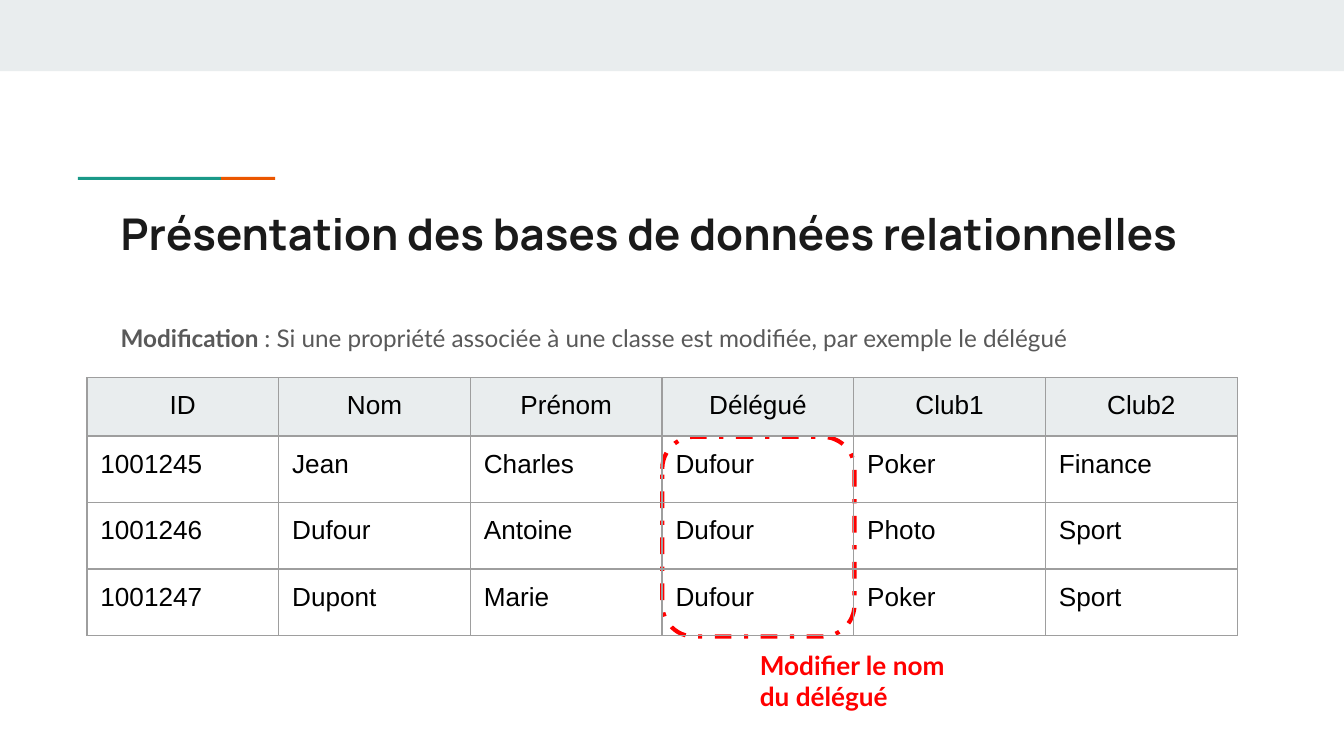
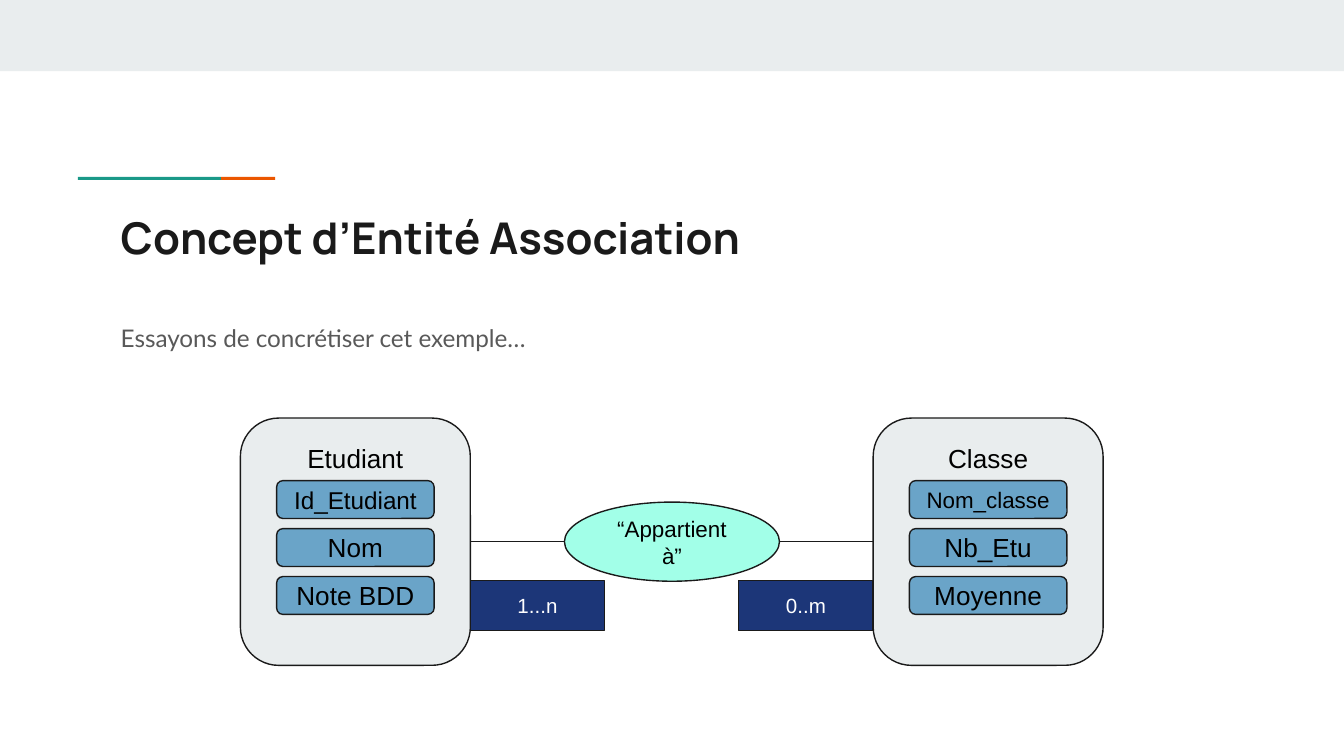
from lxml.etree import SubElement
from pptx import Presentation
from pptx.dml.color import RGBColor
from pptx.enum.dml import MSO_LINE
from pptx.enum.shapes import MSO_CONNECTOR, MSO_SHAPE as Shape
from pptx.enum.text import MSO_ANCHOR as Anchor, PP_ALIGN as Align
from pptx.oxml import parse_xml
from pptx.oxml.ns import nsdecls, qn
from pptx.util import Pt

PALE, INK, GREY, RED = "E9EDEE", "1A1A1A", "595959", "FF0000"
GREEN, ORANGE, BLUE, NAVY, MINT = "1A9988", "EB5600", "6AA4C8", "1C3678", "A2FFE8"
BLACK, WHITE, GRID = "000000", "FFFFFF", "9E9E9E"
INSET = Pt(7.2)


def rgb(value):
    return RGBColor.from_string(value)


def add_item(page, kind, frame, text="", font="Arial", size=14, color=BLACK,
             bold=False, fill=None, line=None, weight=0.75, anchor=Anchor.MIDDLE):
    """Add a preset shape, or a plain text box when kind is None."""
    left, top, width, height = (Pt(value) for value in frame)
    if kind is None:
        box = page.shapes.add_textbox(left, top, width, height)
        anchor = Anchor.TOP
    else:
        box = page.shapes.add_shape(kind, left, top, width, height)
        box.shadow.inherit = False
        if fill:
            box.fill.solid()
            box.fill.fore_color.rgb = rgb(fill)
        else:
            box.fill.background()
        if line:
            box.line.color.rgb = rgb(line)
            box.line.width = Pt(weight)
        else:
            box.line.fill.background()
    if text:
        frame = box.text_frame
        frame.word_wrap = True
        frame.vertical_anchor = anchor
        frame.margin_left = frame.margin_right = INSET
        frame.margin_top = frame.margin_bottom = INSET
        frame.text = text
        para = frame.paragraphs[0]
        para.alignment = Align.LEFT if kind is None else Align.CENTER
        span = para.runs[0]
        span.font.name, span.font.size, span.font.bold = font, Pt(size), bold
        span.font.color.rgb = rgb(color)
    return box


deck = Presentation()
deck.slide_width, deck.slide_height = Pt(720), Pt(405)

# Shared band, accent, title and introduction: title, title top, lead, introduction
contents = [
    ("Présentation des bases de données relationnelles", 103.7, "Modification ",
     ": Si une propriété associée à une classe est modifiée, par exemple le délégué"),
    ("Concept d’Entité Association", 106, "", "Essayons de concrétiser cet exemple…"),
]
pages = []
for title, title_top, lead, intro in contents:
    page = deck.slides.add_slide(deck.slide_layouts[6])
    add_item(page, Shape.RECTANGLE, (0, 0, 720, 38.2), fill=PALE)
    add_item(page, Shape.RECTANGLE, (41.8, 94.8, 76.6, 1.6), fill=GREEN)
    add_item(page, Shape.RECTANGLE, (118.4, 94.8, 29, 1.6), fill=ORANGE)
    add_item(page, None, (57.6, title_top, 605.5, 42.5), title, "Manrope", 23.4, INK, True)
    box = add_item(page, None, (57.6, 163.4, 605.5, 38), lead or intro, "Lato", 13, GREY, bool(lead))
    para = box.text_frame.paragraphs[0]
    para.line_spacing, para.space_after = 1.15, Pt(12)
    if lead:
        span = para.add_run()
        span.text = intro
        span.font.name, span.font.size, span.font.bold = "Lato", Pt(13), False
        span.font.color.rgb = rgb(GREY)
    pages.append(page)
table_page, model_page = pages

# Slide 1: highlighted column and its note
highlight = add_item(table_page, Shape.ROUNDED_RECTANGLE, (354.8, 234, 103, 107),
                     line=RED, weight=2.25)
highlight.line.dash_style = MSO_LINE.DASH_DOT
add_item(table_page, None, (400, 340.6, 116, 48), "Modifier le nom du délégué",
         "Lato", 14, RED, True)

# Slide 1: student table
students = [
    ("ID", "Nom", "Prénom", "Délégué", "Club1", "Club2"),
    ("1001245", "Jean", "Charles", "Dufour", "Poker", "Finance"),
    ("1001246", "Dufour", "Antoine", "Dufour", "Photo", "Sport"),
    ("1001247", "Dupont", "Marie", "Dufour", "Poker", "Sport"),
]
row_heights = [29.5, 35.6, 35.6, 35.6]
table = table_page.shapes.add_table(4, 6, Pt(46.6), Pt(202.4), Pt(616.2),
                                    Pt(sum(row_heights))).table
table.first_row = table.horz_banding = False
for column in table.columns:
    column.width = Pt(102.7)
for row_index, (row, height) in enumerate(zip(students, row_heights)):
    table.rows[row_index].height = Pt(height)
    for column_index, text in enumerate(row):
        cell = table.cell(row_index, column_index)
        cell.margin_left = cell.margin_right = INSET
        cell.margin_top = cell.margin_bottom = INSET
        cell.text = text
        para = cell.text_frame.paragraphs[0]
        span = para.runs[0]
        span.font.name, span.font.size = "Arial", Pt(14)
        span.font.color.rgb = rgb(BLACK)
        # Borders come before the fill in the cell properties
        for side in "LRTB":
            cell._tc.get_or_add_tcPr().append(parse_xml(
                f'<a:ln{side} {nsdecls("a")} w="{Pt(0.75)}"><a:solidFill>'
                f'<a:srgbClr val="{GRID}"/></a:solidFill></a:ln{side}>'))
        if row_index == 0:
            para.alignment = Align.CENTER
            cell.fill.solid()
            cell.fill.fore_color.rgb = rgb(PALE)
        else:
            cell.fill.background()

# Slide 2: entities with attributes (text, size)
entities = [
    ("Etudiant", 128.8, [("Id_Etudiant", 13), ("Nom", 14), ("Note BDD", 14)]),
    ("Classe", 467.8, [("Nom_classe", 12), ("Nb_Etu", 14), ("Moyenne", 14)]),
]
entity_boxes = []
for name, left, attributes in entities:
    entity_boxes.append(add_item(model_page, Shape.ROUNDED_RECTANGLE, (left, 224, 123.2, 132.5),
                                 name, fill=PALE, line=INK, anchor=Anchor.TOP))
    for index, (attribute, size) in enumerate(attributes):
        add_item(model_page, Shape.ROUNDED_RECTANGLE,
                 (left + 19.4, 257.5 + 25.7 * index, 84.4, 20.3),
                 attribute, size=size, fill=BLUE, line=INK)

# Slide 2: association, links and cardinalities
add_item(model_page, Shape.OVAL, (302.4, 269, 115.2, 42.4), "“Appartient à”",
         size=12, fill=MINT, line=INK)
links = [(302.4, 3, 252, "1...n"), (417.6, 1, 395.8, "0..m")]
for entity, (oval_side, site, left, cardinality) in zip(entity_boxes, links):
    link = model_page.shapes.add_connector(MSO_CONNECTOR.STRAIGHT, Pt(oval_side), Pt(290.25),
                                           Pt(oval_side), Pt(290.25))
    link.end_connect(entity, site)
    link.line.color.rgb = rgb(INK)
    link.line.width = Pt(0.75)
    SubElement(link._element.spPr, qn("a:effectLst"))
    add_item(model_page, Shape.FLOWCHART_PROCESS, (left, 311.2, 72, 26.6), cardinality,
             size=11, color=WHITE, fill=NAVY, line=INK)

deck.save("out.pptx")
